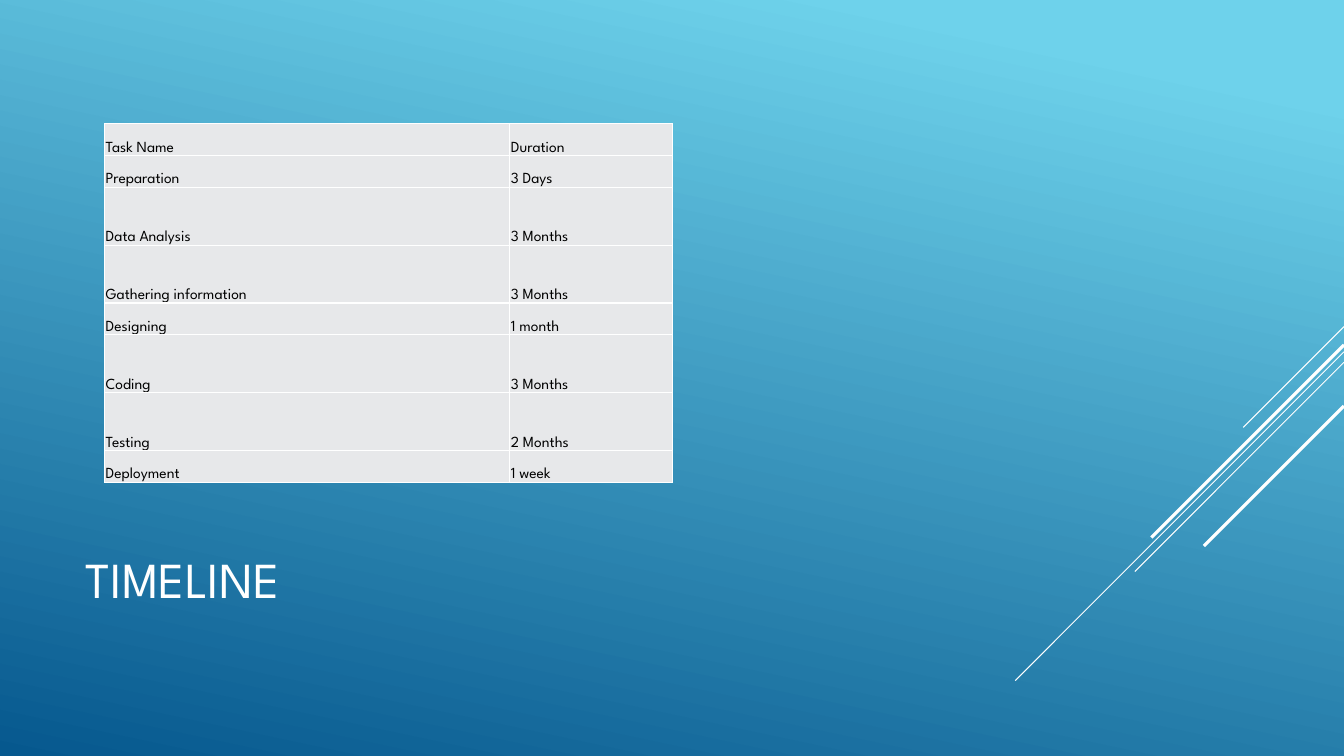
"""Build the project timeline slide with its task table and diagonal accent lines."""

from dataclasses import dataclass

from lxml.etree import SubElement
from pptx import Presentation
from pptx.dml.color import RGBColor
from pptx.enum.shapes import MSO_CONNECTOR
from pptx.enum.text import MSO_ANCHOR, MSO_AUTO_SIZE, PP_ALIGN
from pptx.oxml.ns import qn
from pptx.slide import Slide
from pptx.table import _Cell
from pptx.text.text import TextFrame
from pptx.util import Pt


@dataclass(frozen=True)
class Theme:
    font: str = "League Spartan"
    title_size: float = 36
    cell_size: float = 11
    sky: str = "6ED2EB"
    navy: str = "06588E"
    white: str = "FFFFFF"
    black: str = "000000"
    cell_fill: str = "E7E8EA"


@dataclass(frozen=True)
class Task:
    name: str
    duration: str
    height: float


@dataclass(frozen=True)
class Diagonal:
    top: float
    run: float
    weight: float


THEME = Theme()
WIDTH, HEIGHT = 960, 540
SHORT, TALL = 22.6, 41.4
COLUMNS = (289.4, 116)
TASKS = (
    Task("Task Name", "Duration", SHORT),
    Task("Preparation", "3 Days", SHORT),
    Task("Data Analysis", "3 Months", TALL),
    Task("Gathering information", "3 Months", TALL),
    Task("Designing", "1 month", SHORT),
    Task("Coding", "3 Months", TALL),
    Task("Testing", "2 Months", TALL),
    Task("Deployment", "1 week", SHORT),
)
DIAGONALS = (
    Diagonal(233.3, 72, 0.75),
    Diagonal(251.3, 234.8, 0.75),
    Diagonal(258.8, 149.4, 0.75),
    Diagonal(246.4, 137.6, 2.25),
    Diagonal(290, 100, 2.25),
)


def rgb(value: str) -> RGBColor:
    return RGBColor.from_string(value)


def write(tf: TextFrame, text: str, *, size: float, color: str,
          anchor: MSO_ANCHOR) -> None:
    tf.word_wrap = True
    tf.vertical_anchor = anchor
    p = tf.paragraphs[0]
    p.alignment = PP_ALIGN.LEFT
    r = p.add_run()
    r.text = text
    r.font.name = THEME.font
    r.font.size = Pt(size)
    r.font.color.rgb = rgb(color)


def paint_background(slide: Slide) -> None:
    fill = slide.background.fill
    fill.gradient()
    fill.gradient_angle = 258
    stops = ((0.1, THEME.sky), (1, THEME.navy))
    for stop, (position, color) in zip(fill.gradient_stops, stops):
        stop.position = position
        stop.color.rgb = rgb(color)


def add_diagonal(slide: Slide, line: Diagonal) -> None:
    sp = slide.shapes.add_connector(
        MSO_CONNECTOR.STRAIGHT, Pt(WIDTH), Pt(line.top),
        Pt(WIDTH - line.run), Pt(line.top + line.run))
    sp.line.color.rgb = rgb(THEME.white)
    sp.line.width = Pt(line.weight)
    SubElement(sp._element.spPr, qn("a:effectLst"))


def add_title(slide: Slide, text: str) -> None:
    sp = slide.shapes.title
    sp.left, sp.top, sp.width, sp.height = Pt(54), Pt(353.5), Pt(672), Pt(118.8)
    sp.text_frame.auto_size = MSO_AUTO_SIZE.NONE
    write(sp.text_frame, text, size=THEME.title_size, color=THEME.white,
          anchor=MSO_ANCHOR.MIDDLE)


def format_cell(cell: _Cell, text: str) -> None:
    cell.margin_left = cell.margin_right = cell.margin_top = Pt(0.7)
    cell.margin_bottom = Pt(0)
    write(cell.text_frame, text, size=THEME.cell_size, color=THEME.black,
          anchor=MSO_ANCHOR.BOTTOM)
    cell.vertical_anchor = MSO_ANCHOR.BOTTOM
    props = cell._tc.get_or_add_tcPr()
    for side in ("lnL", "lnR", "lnT", "lnB"):
        border = SubElement(props, qn(f"a:{side}"), w=str(Pt(1)))
        solid = SubElement(border, qn("a:solidFill"))
        SubElement(solid, qn("a:srgbClr"), val=THEME.white)
    cell.fill.solid()
    cell.fill.fore_color.rgb = rgb(THEME.cell_fill)


def add_task_table(slide: Slide) -> None:
    table = slide.shapes.add_table(
        len(TASKS), len(COLUMNS), Pt(74.8), Pt(88.5),
        Pt(sum(COLUMNS)), Pt(sum(task.height for task in TASKS))).table
    table.first_row = table.horz_banding = False
    for column, width in zip(table.columns, COLUMNS):
        column.width = Pt(width)
    for row, task in zip(table.rows, TASKS):
        row.height = Pt(task.height)
        for cell, text in zip(row.cells, (task.name, task.duration)):
            format_cell(cell, text)


def main() -> None:
    prs = Presentation()
    prs.slide_width, prs.slide_height = Pt(WIDTH), Pt(HEIGHT)
    slide = prs.slides.add_slide(prs.slide_layouts.get_by_name("Title Only"))
    paint_background(slide)
    for line in DIAGONALS:
        add_diagonal(slide, line)
    add_title(slide, "TIMELINE")
    add_task_table(slide)
    prs.save("out.pptx")


if __name__ == "__main__":
    main()
